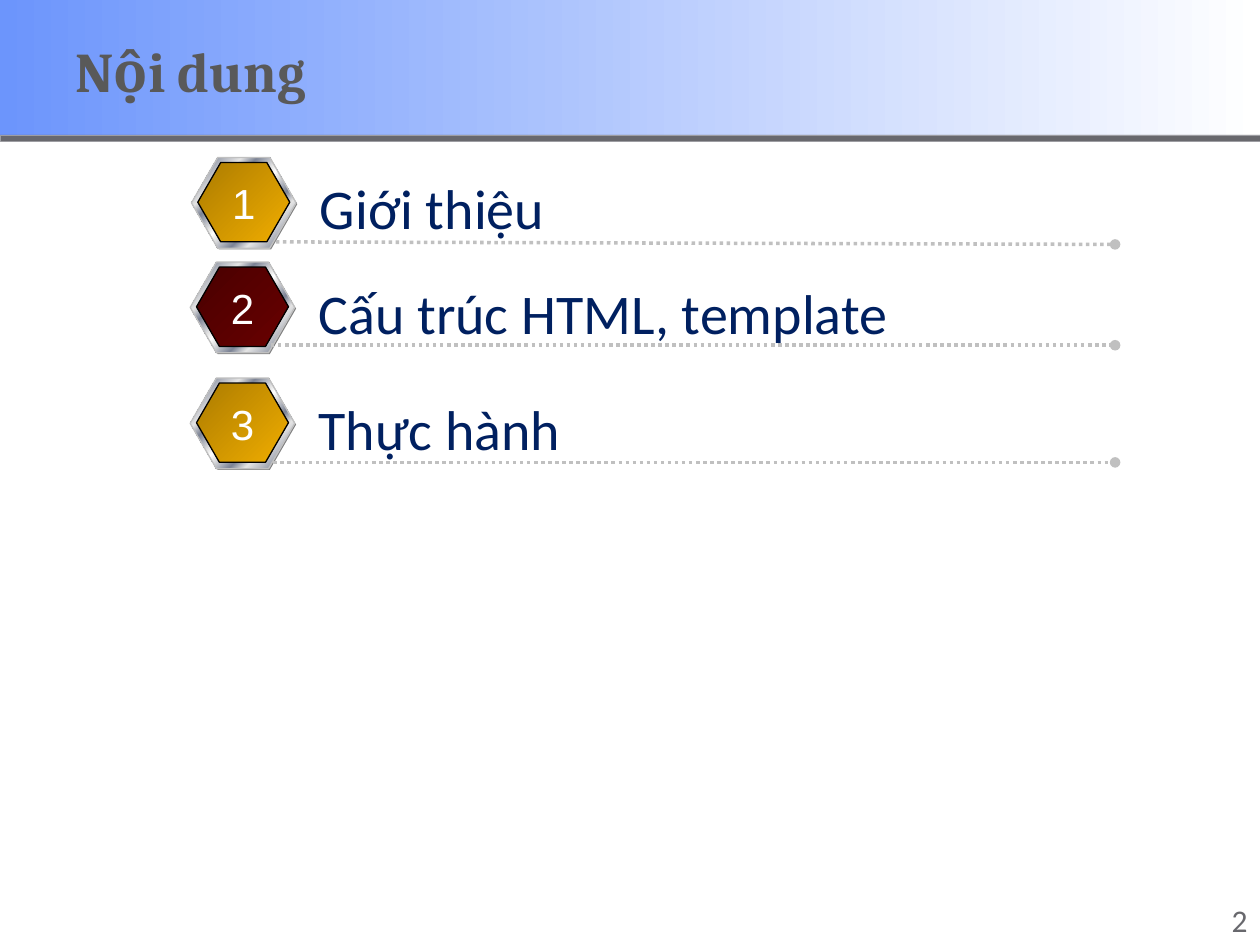
from pptx import Presentation
from pptx import util as u
from pptx.dml.color import RGBColor
from pptx.enum import dml, shapes, text
from pptx.oxml.ns import qn
from lxml import etree

STEEL = [(0, "E6E6E6"), (8, "7D8496"), (26, "E6E6E6"), (34, "7D8496"),
         (46, "E6E6E6"), (50, "FFFFFF"), (54, "E6E6E6"), (66, "7D8496"),
         (74, "E6E6E6"), (92, "7D8496"), (100, "E6E6E6")]
GOLD = [(0, "AC7C00"), (100, "F0AD00")]
MAROON = [(0, "4A0000"), (100, "680000")]
HEADER = [(0, "FFFFFF"), (100, "6C95FC")]
ITEMS = [
    ("1", "Giới thiệu", GOLD, 1.52, 1.25, (2.19, 1.92, 1.94)),
    ("2", "Cấu trúc HTML, template", MAROON, 1.51, 2.08, (2.15, 2.74, 2.74)),
    ("3", "Thực hành", GOLD, 1.51, 3.0, (2.17, 3.67, 3.67)),
]


def paint(color_format, value):
    """Set a colour from a hex string."""
    color_format.rgb = RGBColor.from_string(value)


def paint_gradient(shape, stops, angle):
    """Fill a shape with gradient stops at a counterclockwise angle."""
    shape.fill.gradient()
    shape.fill.gradient_angle = angle
    stop_list = shape.element.spPr.find(".//" + qn("a:gsLst"))
    for old in list(stop_list):
        stop_list.remove(old)
    for percent, value in stops:
        stop = etree.SubElement(stop_list, qn("a:gs"), pos=str(percent * 1000))
        etree.SubElement(stop, qn("a:srgbClr"), val=value)


def add_block(parent, kind, place, fill, outline=None, width=0.75, angle=0):
    """Add a preset shape with a plain or gradient fill."""
    shape = parent.add_shape(kind, *map(u.Inches, place))
    shape.shadow.inherit = False
    if isinstance(fill, str):
        shape.fill.solid()
        paint(shape.fill.fore_color, fill)
    else:
        paint_gradient(shape, fill, angle)
    if outline:
        paint(shape.line.color, outline)
        shape.line.width = u.Pt(width)
    else:
        shape.line.fill.background()
    return shape


def add_label(page, words, place, font, size, color, bold=False,
              align=text.PP_ALIGN.LEFT, wrap=True, anchor=text.MSO_ANCHOR.TOP):
    """Add a one-paragraph text box."""
    box = page.shapes.add_textbox(*map(u.Inches, place))
    frame = box.text_frame
    frame.word_wrap = wrap
    frame.vertical_anchor = anchor
    para = frame.paragraphs[0]
    para.text = words
    para.alignment = align
    para.font.name, para.font.size, para.font.bold = font, u.Pt(size), bold
    paint(para.font.color, color)
    return box


def add_badge(page, left, top, face):
    """Add a steel-rimmed hexagon badge as a group."""
    group = page.shapes.add_group_shape()
    layers = [
        ((left + 0.01, top + 0.01, 0.83, 0.72), "808080", None),
        ((left, top, 0.83, 0.72), STEEL, "C0C0C0"),
        ((left + 0.05, top + 0.04, 0.73, 0.63), face, "000000"),
    ]
    for place, fill, outline in layers:
        hexagon = add_block(group.shapes, shapes.MSO_SHAPE.HEXAGON, place,
                            fill, outline, angle=315)
        hexagon.adjustments[0] = 0.289


def add_dotted_rule(page, start, start_y, end_y):
    """Add a dotted line that ends in a round dot."""
    rule = page.shapes.add_connector(
        shapes.MSO_CONNECTOR.STRAIGHT,
        *map(u.Inches, (start, start_y, 8.85, end_y)))
    paint(rule.line.color, "C0C0C0")
    rule.line.width = u.Pt(2)
    rule.line.dash_style = dml.MSO_LINE.ROUND_DOT
    properties = rule.element.spPr
    etree.SubElement(properties.find(qn("a:ln")), qn("a:tailEnd"), type="oval")
    etree.SubElement(properties, qn("a:effectLst"))


def add_item(page, number, words, face, left, top, rule):
    """Add one numbered agenda line."""
    add_badge(page, left, top, face)
    add_dotted_rule(page, *rule)
    boxes = [
        add_label(page, words, (left + 0.92, top + 0.08, 6.42, 0.64),
                  "Calibri", 32, "002060"),
        add_label(page, number, (left + 0.22, top + 0.11, 0.39, 0.5),
                  "Arial", 24, "FFFFFF", align=text.PP_ALIGN.CENTER, wrap=False),
    ]
    for box in boxes:
        box.text_frame.auto_size = text.MSO_AUTO_SIZE.SHAPE_TO_FIT_TEXT


def add_header(page):
    """Add the gradient band, its rule and the title."""
    rectangle = shapes.MSO_SHAPE.RECTANGLE
    band = add_block(page.shapes, rectangle, (0, 0, 10, 1.07), HEADER)
    band.rotation = 180
    add_block(page.shapes, rectangle, (0, 1.07, 10, 0.05), "68686D", "9D9DA2", 0.25)
    add_label(page, "Nội dung", (0.5, 0.3, 9, 0.52), "Cambria", 32, "595959",
              bold=True, anchor=text.MSO_ANCHOR.MIDDLE)


def main():
    """Build and save the agenda slide."""
    deck = Presentation()
    deck.slide_width, deck.slide_height = u.Inches(10), u.Inches(7.5)
    page = deck.slides.add_slide(deck.slide_layouts[6])
    add_header(page)
    for item in ITEMS:
        add_item(page, *item)
    add_label(page, "2", (9.42, 7.1, 0.58, 0.4), "Calibri", 18, "68686D",
              align=text.PP_ALIGN.RIGHT)
    deck.save("out.pptx")


if __name__ == "__main__":
    main()
